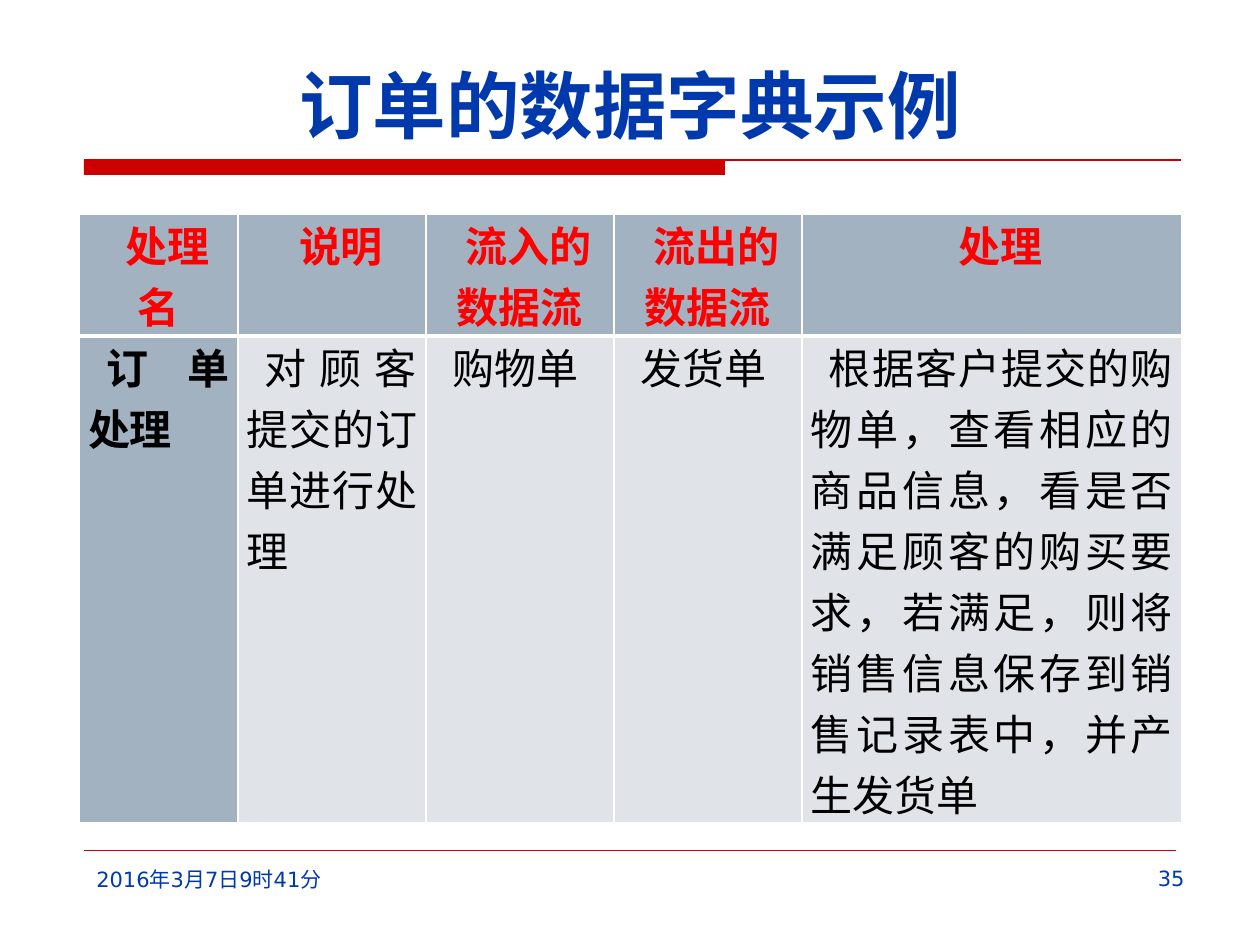
from pptx import Presentation
from pptx.util import Emu, Pt
from pptx.dml.color import RGBColor
from pptx.enum.shapes import MSO_CONNECTOR, MSO_SHAPE
from pptx.enum.text import MSO_ANCHOR, PP_ALIGN
from pptx.oxml.ns import qn
from lxml.etree import SubElement

TITLE = "订单的数据字典示例"
DATE = "2016年3月7日9时41分"
PAGE = "35"
HEAD = ["处理名", "说明", "流入的数据流", "流出的数据流", "处理"]
BODY = ["订单处理", "对顾客提交的订单进行处理", "购物单", "发货单",
        "根据客户提交的购物单，查看相应的商品信息，看是否满足顾客的购买要求，"
        "若满足，则将销售信息保存到销售记录表中，并产生发货单"]
COLS = [159, 188, 188, 188, 380]
ROWS = [122, 487]
BLUE, RED, DARK, PALE = "0039AC", "CC0000", "A3B2C1", "E0E4E9"
LATIN, HAN = "DejaVu Sans", "Noto Sans CJK SC"


def px(n):
    return Emu(round(n * 914400 / 126))


def rgb(code):
    return RGBColor.from_string(code)


def write(frame, text, size, color, align, bold=False, face=LATIN):
    frame.text = text
    para = frame.paragraphs[0]
    para.alignment = align
    font = para.font
    font.size, font.bold, font.name = Pt(size), bold, face
    font.color.rgb = rgb(color)
    SubElement(font._element, qn("a:ea"), typeface=HAN)
    return para


def rule(x1, x2, y, width):
    line = slide.shapes.add_connector(
        MSO_CONNECTOR.STRAIGHT, px(x1), px(y), px(x2), px(y))
    line.line.color.rgb = rgb(RED)
    line.line.width = Pt(width)
    SubElement(line._element.spPr, qn("a:effectLst"))


def label(x, y, w, h, text, align):
    frame = slide.shapes.add_textbox(px(x), px(y), px(w), px(h)).text_frame
    frame.word_wrap = True
    write(frame, text, 12, BLUE, align)


def border(cell, sides):
    props = cell._tc.get_or_add_tcPr()
    for spot, (side, width) in enumerate(sides.items()):
        edge = props.makeelement(qn("a:ln" + side), {"w": str(Pt(width))})
        fill = SubElement(edge, qn("a:solidFill"))
        SubElement(fill, qn("a:srgbClr"), val="FFFFFF")
        props.insert(spot, edge)


deck = Presentation()
deck.slide_width, deck.slide_height = px(1260), px(945)
slide = deck.slides.add_slide(deck.slide_layouts[5])

# Title with its bar and rules
title = slide.shapes.title
title.left, title.top, title.width, title.height = map(px, (79, 42, 1102, 113))
title.text_frame.vertical_anchor = MSO_ANCHOR.BOTTOM
title.text_frame.word_wrap = True
write(title.text_frame, TITLE, 42, BLUE, PP_ALIGN.CENTER, True, HAN)

bar = slide.shapes.add_shape(MSO_SHAPE.RECTANGLE, px(84), px(160), px(641), px(15))
bar.shadow.inherit = False
bar.fill.solid()
bar.fill.fore_color.rgb = rgb(RED)
bar.line.fill.background()
rule(84, 1181, 160, 0.75)
rule(84, 1176, 850, 0.25)

# Footer
label(84, 860, 278, 66, DATE, PP_ALIGN.LEFT)
label(924, 859, 273, 66, PAGE, PP_ALIGN.RIGHT)

# Table
table = slide.shapes.add_table(
    2, len(COLS), px(79), px(214), px(sum(COLS)), px(sum(ROWS))).table
for col, width in zip(table.columns, COLS):
    col.width = px(width)
for row, height in zip(table.rows, ROWS):
    row.height = px(height)
for r, texts in enumerate((HEAD, BODY)):
    for c, text in enumerate(texts):
        cell = table.cell(r, c)
        top = r == 0
        cell.margin_left = cell.margin_right = px(9)
        cell.margin_top = cell.margin_bottom = 0
        para = write(cell.text_frame, text, 24, "FF0000" if top else "000000",
                     PP_ALIGN.CENTER if top else PP_ALIGN.JUSTIFY, top or c == 0)
        para._p.get_or_add_pPr().set("indent", str(px(18)))
        cell.fill.solid()
        cell.fill.fore_color.rgb = rgb(DARK if top or c == 0 else PALE)
        border(cell, {"L": 1, "R": 1, "T": 1 if top else 3, "B": 3 if top else 1})

deck.save("out.pptx")
